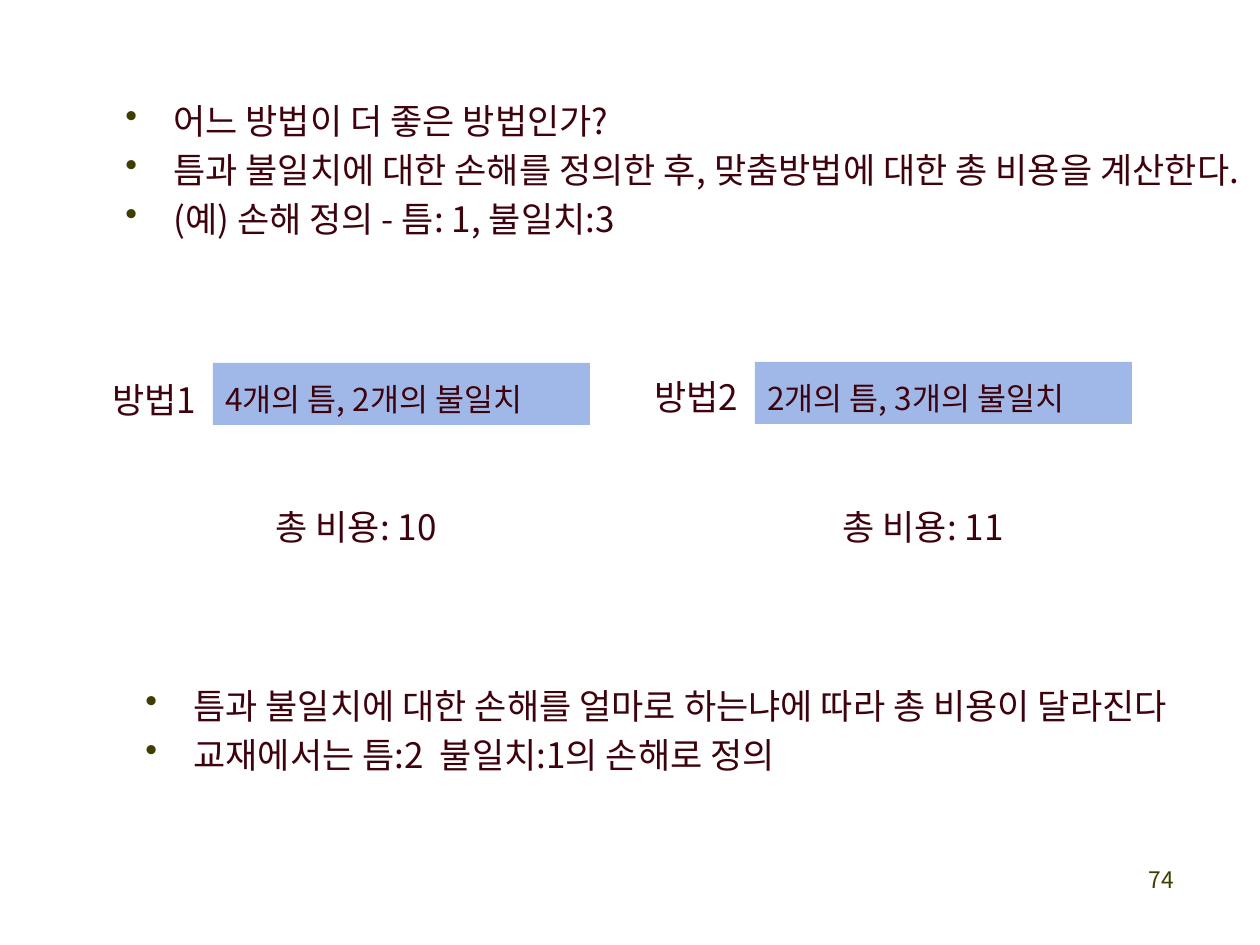
"""Build a slide comparing the total cost of two alignment methods."""
from lxml import etree
from pptx import Presentation
from pptx.dml.color import RGBColor
from pptx.enum.shapes import MSO_SHAPE
from pptx.enum.text import MSO_ANCHOR, PP_ALIGN
from pptx.oxml.ns import qn
from pptx.util import Emu, Pt

RECT = MSO_SHAPE.RECTANGLE
TOP = MSO_ANCHOR.TOP
LEFT, RIGHT = PP_ALIGN.LEFT, PP_ALIGN.RIGHT
FONT = "Noto Sans CJK KR"
INK, OLIVE, BLUE = "3E020C", "3F3E00", "9FB8E7"


def px(n):
    return Emu(n * 914400 // 126)


def write(text, box, size=20, color=INK, fill=None, align=LEFT, lead=28,
          bullet=False, wrap=True):
    area = [px(n) for n in box]
    if fill:
        shape = slide.shapes.add_shape(RECT, *area)
        shape.shadow.inherit = False
        shape.fill.solid()
        shape.fill.fore_color.rgb = RGBColor.from_string(fill)
        shape.line.fill.background()
    else:
        shape = slide.shapes.add_textbox(*area)
    frame = shape.text_frame
    frame.word_wrap = wrap
    frame.vertical_anchor = TOP
    frame.text = text
    for para in frame.paragraphs:
        para.alignment = align
        if lead:
            para.line_spacing = Pt(lead)
        run = para.runs[0]
        run.font.size = Pt(size)
        run.font.name = FONT
        run.font.color.rgb = RGBColor.from_string(color)
        etree.SubElement(run.font._element, qn("a:ea"), typeface=FONT)
        if bullet:
            props = para._p.get_or_add_pPr()
            props.set("marL", str(px(48)))
            props.set("indent", str(-px(48)))
            tint = etree.SubElement(props, qn("a:buClr"))
            etree.SubElement(tint, qn("a:srgbClr"), val=OLIVE)
            etree.SubElement(props, qn("a:buChar"), char="•")


deck = Presentation()
deck.slide_width, deck.slide_height = px(1260), px(945)
slide = deck.slides.add_slide(deck.slide_layouts[6])

write("어느 방법이 더 좋은 방법인가?\n"
      "틈과 불일치에 대한 손해를 정의한 후, 맞춤방법에 대한 총 비용을 계산한다.\n"
      "(예) 손해 정의 - 틈: 1, 불일치:3",
      (113, 86, 1137, 210), bullet=True)

ways = [
    ("방법1", 100, 365, "4개의 틈, 2개의 불일치", 213, 363, "총 비용: 10", 263),
    ("방법2", 642, 362, "2개의 틈, 3개의 불일치", 755, 362, "총 비용: 11", 830),
]
for name, left, top, gaps, start, head, cost, edge in ways:
    write(gaps, (start, head, 377, 62), size=18, fill=BLUE)
    write(cost, (edge, 492, 214, 62), wrap=False)
    write(name, (left, top, 122, 62), wrap=False)

write("틈과 불일치에 대한 손해를 얼마로 하는냐에 따라 총 비용이 달라진다\n"
      "교재에서는 틈:2  불일치:1의 손해로 정의",
      (133, 671, 1062, 161), bullet=True)
write("74", (924, 860, 262, 63), size=13, color=OLIVE, align=RIGHT, lead=None)

deck.save("out.pptx")
